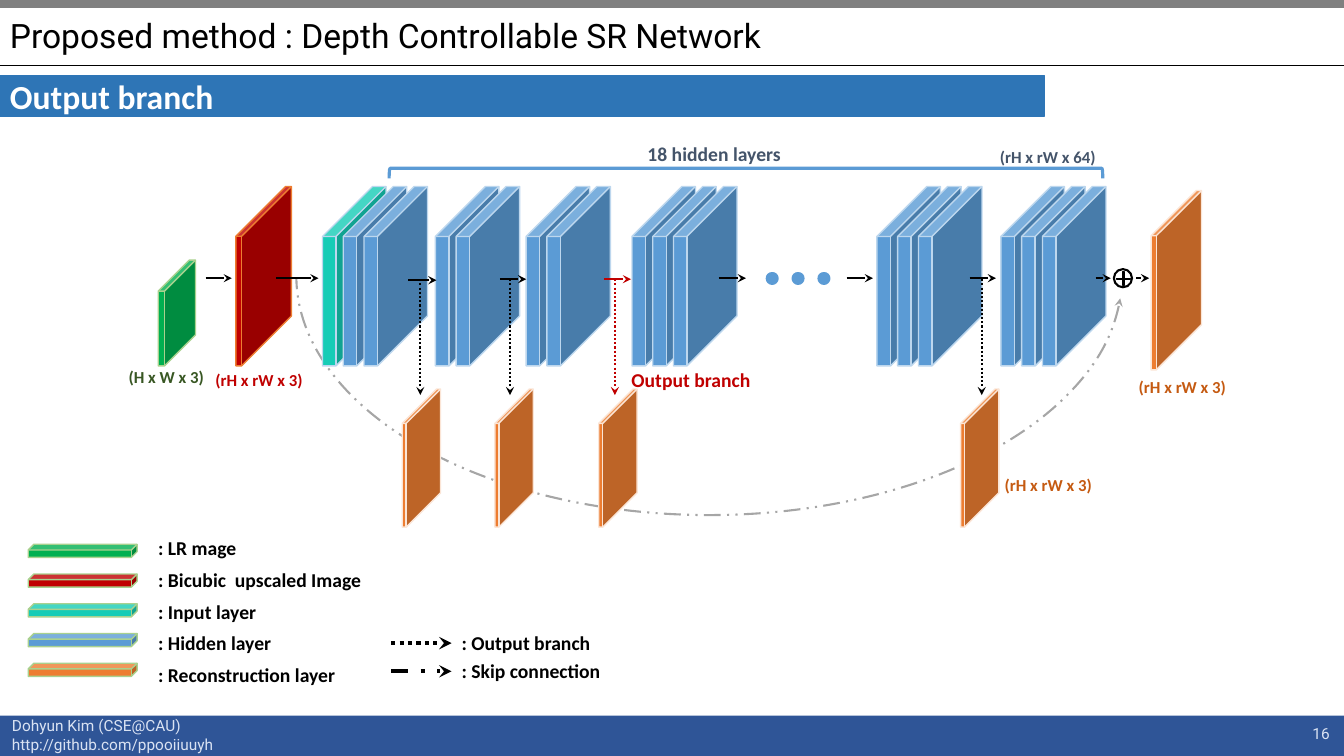
from lxml import etree
from pptx import Presentation
from pptx import util as u
from pptx.dml.color import RGBColor
from pptx.enum import dml, shapes, text
from pptx.oxml.ns import qn

COLUMNS, ROWS = 133.33, 75
CELL = u.Inches(0.1)
SHAPE, DASH, ALIGN = shapes.MSO_SHAPE, dml.MSO_LINE, text.PP_ALIGN
BLACK, WHITE, GREY = "000000", "FFFFFF", "808080"
GREEN, RED, TEAL, BLUE, ORANGE = "00B050", "C00000", "16CCB6", "5B9BD5", "ED7D31"
LIME, PALE_BLUE, PALE_ORANGE = "A9D18E", "BDD7EE", "FBE5D6"
SLATE, RUST, FOREST, FOOTER_INK = "44546A", "C55A11", "385723", "DAE3F3"


def color(code):
    return RGBColor.from_string(code)


def cells(*values):
    return [round(value * CELL) for value in values]


class Deck:
    def __init__(self):
        self.prs = Presentation()
        self.prs.slide_width, self.prs.slide_height = cells(COLUMNS, ROWS)
        self.slide = self.prs.slides.add_slide(self.prs.slide_layouts[6])
        self.shapes = self.slide.shapes

    def stroke(self, item, ink, weight, dash=None, arrow=None, cap=None, alpha=None):
        item.line.color.rgb = color(ink)
        item.line.width = u.Pt(weight)
        if dash:
            item.line.dash_style = dash
        ln = item._element.spPr.find(qn("a:ln"))
        if cap:
            ln.set("cap", cap)
        if alpha:
            etree.SubElement(ln.find(".//" + qn("a:srgbClr")), qn("a:alpha"), val=str(alpha * 1000))
        if arrow:
            etree.SubElement(ln, qn("a:" + arrow), type="stealth")

    def shape(self, kind, box, fill=None, line=None, weight=1, adjust=(), turn=0, **stroke):
        item = self.shapes.add_shape(kind, *cells(*box))
        item.shadow.inherit = False
        item.rotation = turn
        for index, value in enumerate(adjust):
            item.adjustments[index] = value
        if fill:
            item.fill.solid()
            item.fill.fore_color.rgb = color(fill)
        else:
            item.fill.background()
        if line:
            self.stroke(item, line, weight, **stroke)
        else:
            item.line.fill.background()
        return item

    def line(self, start, end, ink=BLACK, weight=1.5, **stroke):
        item = self.shapes.add_connector(shapes.MSO_CONNECTOR.STRAIGHT, *cells(*start, *end))
        self.stroke(item, ink, weight, **stroke)
        etree.SubElement(item._element.spPr, qn("a:effectLst"))

    def arrow(self, start, end, **style):
        self.line(start, end, arrow="tailEnd", **style)

    def text(self, words, box, size=14, ink=BLACK, font="Calibri", bold=True,
             align=ALIGN.LEFT, middle=False, wrap=True, spacing=None):
        frame = self.shapes.add_textbox(*cells(*box)).text_frame
        frame.word_wrap = wrap
        frame.vertical_anchor = text.MSO_ANCHOR.MIDDLE if middle else text.MSO_ANCHOR.TOP
        for index, sentence in enumerate(words.split("\n")):
            paragraph = frame.add_paragraph() if index else frame.paragraphs[0]
            paragraph.alignment = align
            if spacing:
                paragraph.line_spacing = spacing
            run = paragraph.add_run()
            run.text = sentence
            run.font.name, run.font.size, run.font.bold = font, u.Pt(size), bold
            run.font.color.rgb = color(ink)

    def label(self, words, box, ink, size=12):
        self.text(words, box, size, ink, align=ALIGN.CENTER, wrap=False)

    def cube(self, box, fill, edge, depth):
        self.shape(SHAPE.CUBE, box, fill, edge, adjust=[depth])

    def layers(self, left, fills):
        for index, fill in enumerate(fills):
            self.cube((left + 2.06 * index, 18.5, 6.3, 17.8), fill, PALE_BLUE, 0.788)

    def branch(self, stem, left, ink=BLACK):
        self.arrow((stem, 27.7), (stem, 39.2), ink=ink, dash=DASH.ROUND_DOT)
        self.cube((left, 38.6, 3.8, 13.7), ORANGE, PALE_ORANGE, 0.897)


def add_frame(deck):
    deck.shape(SHAPE.RECTANGLE, (0, 71, COLUMNS, 4), "2F5597")
    deck.shape(SHAPE.RECTANGLE, (0, 0, COLUMNS, 0.7), GREY, GREY)
    deck.line((0, 6.5), (COLUMNS, 6.5), weight=0.5)
    deck.text("Dohyun Kim (CSE@CAU)\nhttp://github.com/ppooiiuuyh", (0.2, 70.6, 22.2, 4.7),
              11, FOOTER_INK, "Roboto", False, wrap=False)
    deck.text("16", (102.9, 70.8, 30, 4), 11, FOOTER_INK, "Roboto", False, ALIGN.RIGHT, True)
    deck.shape(SHAPE.RECTANGLE, (0, 7.5, 103.6, 4), "2E75B6", "2E75B6")
    deck.text("Output branch", (0, 7.5, 103.6, 4), 24, WHITE, middle=True)
    deck.text("Proposed method : Depth Controllable SR Network", (0, 0.9, 116.7, 5.7),
              24, BLACK, "Roboto", False, middle=True, spacing=0.9)


def add_legend(deck):
    meanings = [("LR mage", GREEN), ("Bicubic  upscaled Image", RED), ("Input layer", TEAL),
                ("Hidden layer", BLUE), ("Reconstruction layer", ORANGE)]
    for row, (meaning, fill) in enumerate(meanings):
        deck.cube((2.8, 54 + 2.95 * row, 10.8, 1.3), fill, LIME, 0.434)
        deck.text(": " + meaning, (14.7, 52.7 + 3.15 * row, 23.8, 3.4))
    links = [("Output branch", DASH.ROUND_DOT), ("Skip connection", DASH.DASH_DOT)]
    for row, (meaning, dash) in enumerate(links):
        y = 63.8 + 2.8 * row
        deck.arrow((38.8, y), (44.8, y), weight=3, dash=dash)
        deck.text(": " + meaning, (44.8, y - 1.7, 23.8, 3.4))


def add_network(deck):
    deck.shape(SHAPE.ARC, (29.4, 3.7, 81.9, 47.4), line=BLACK, weight=1.5,
               adjust=[109.849, 215.777], turn=180, dash=DASH.DASH_DOT_DOT,
               arrow="headEnd", alpha=35)
    deck.shape(SHAPE.LEFT_BRACKET, (73.5, -18.2, 1, 70.8), line=BLUE, weight=2.25, turn=90)
    deck.cube((15.7, 25.8, 3.7, 10.5), GREEN, LIME, 0.835)
    deck.cube((23.4, 18.5, 5.5, 17.8), RED, ORANGE, 0.897)
    deck.cube((114.2, 18.9, 5, 17.8), ORANGE, PALE_ORANGE, 0.897)

    deck.layers(32, [TEAL, BLUE, BLUE])
    for left, count in [(43.2, 2), (52.2, 2), (62.7, 3), (87, 3), (99.3, 3)]:
        deck.layers(left, [BLUE] * count)

    for stem, left, ink in [(41.7, 39.9, BLACK), (50.6, 49.1, BLACK),
                            (61, 59.4, RED), (97.4, 95.3, BLACK)]:
        deck.branch(stem, left, ink)
    for start, end, y, ink in [
            (20.4, 23, 27.6, BLACK), (27.4, 31.6, 27.6, BLACK), (40.5, 43.3, 27.8, BLACK),
            (49.6, 52.2, 27.7, BLACK), (59.9, 62.6, 27.7, RED), (71.3, 74, 27.6, BLACK),
            (84, 86.6, 27.6, BLACK), (96.2, 98.8, 27.6, BLACK), (108.7, 110.2, 27.6, BLACK),
            (112.7, 114, 27.6, BLACK)]:
        deck.arrow((start, y), (end, y), ink=ink)
    deck.line((76.6, 27.6), (84, 27.6), ink=BLUE, weight=9.25, dash=DASH.ROUND_DOT, cap="rnd")

    deck.shape(SHAPE.OVAL, (110.5, 26.7, 1.8, 1.8), line=BLACK, weight=1.5)
    deck.shape(SHAPE.MATH_PLUS, (110.5, 26.7, 1.9, 1.9), BLACK, BLACK, adjust=[0.046])

    deck.label("18 hidden layers", (61.8, 13.6, 18.1, 3.4), SLATE, 14)
    deck.label("(rH x rW x 64)", (98.1, 14.1, 11.7, 3), SLATE)
    deck.label("(H x W x 3)", (11.7, 35.9, 9.6, 3), FOREST)
    deck.label("Output branch", (61.6, 36, 13.9, 3.4), RED, 14)
    for left, top, ink in [(20.3, 36.2, RED), (98.6, 46.6, RUST), (111.9, 36.9, RUST)]:
        deck.label("(rH x rW x 3)", (left, top, 10.8, 3), ink)


def main():
    deck = Deck()
    add_frame(deck)
    add_legend(deck)
    add_network(deck)
    deck.prs.save("out.pptx")


if __name__ == "__main__":
    main()
